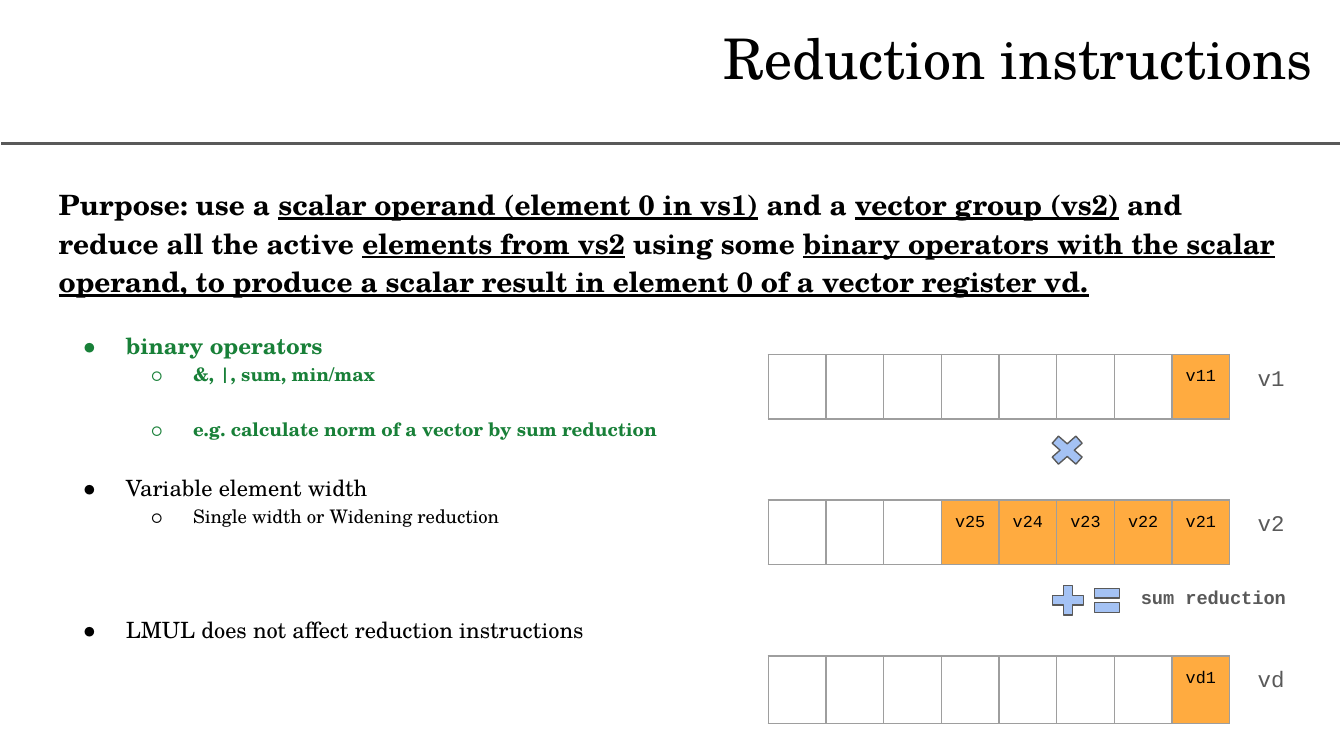
from lxml import etree
from pptx import Presentation
from pptx import util as u
from pptx.dml.color import RGBColor
from pptx.enum import shapes, text
from pptx.oxml.ns import qn

BLACK = RGBColor(0, 0, 0)
GREEN = RGBColor(0x18, 0x80, 0x38)
GREY = RGBColor(0x59, 0x59, 0x59)
EDGE = RGBColor(0x9E, 0x9E, 0x9E)
AMBER = RGBColor(0xFF, 0xAB, 0x40)
BLUE = RGBColor(0xA4, 0xC2, 0xF4)
SERIF, MONO = "TeX Gyre Schola", "Courier New"

TITLE = "Reduction instructions"
# Every second part is underlined.
PURPOSE = [
    "Purpose: use a ", "scalar operand (element 0 in vs1)", " and a ",
    "vector group (vs2)", " and reduce all the active ", "elements from vs2",
    " using some ",
    "binary operators with the scalar operand, to produce a scalar result "
    "in element 0 of a vector register vd.",
]
# text, level, points before, colour, bold
POINTS = [
    ("binary operators", 0, 16, GREEN, True),
    ("&, |, sum, min/max", 1, 0, GREEN, True),
    ("e.g. calculate norm of a vector by sum reduction", 1, 16, GREEN, True),
    ("Variable element width", 0, 16, BLACK, False),
    ("Single width or Widening reduction", 1, 0, BLACK, False),
    ("LMUL does not affect reduction instructions", 0, 45.5, BLACK, False),
]
# bullet, text size, left margin, first-line indent
LEVELS = [("●", 12, 1.27, -0.84), ("○", 10, 2.54, -0.81)]

# name, top, height, labels at the right end of the register
LANES = 8
VECTORS = [
    ("v1", 6.7, 1.22, ["v11"]),
    ("v2", 9.45, 1.22, ["v25", "v24", "v23", "v22", "v21"]),
    ("vd", 12.4, 1.27, ["vd1"]),
]
LEFT, LANE = 14.52, 1.09
# shape, left, top, width
SIGNS = [
    (shapes.MSO_SHAPE.MATH_MULTIPLY, 19.74, 8.13, 0.86),
    (shapes.MSO_SHAPE.MATH_PLUS, 19.79, 10.97, 0.79),
    (shapes.MSO_SHAPE.MATH_EQUAL, 20.6, 10.97, 0.64),
]


def write(para, words, size=12, font=MONO, color=BLACK, bold=False, line=False):
    run = para.add_run()
    run.text = words
    face = run.font
    face.size, face.name, face.bold, face.underline = u.Pt(size), font, bold, line
    face.color.rgb = color


def frame(slide, left, top, width, height, wrap=True):
    """Add a text box and return its text frame."""
    box = slide.shapes.add_textbox(u.Cm(left), u.Cm(top), u.Cm(width), u.Cm(height))
    area = box.text_frame
    area.word_wrap = wrap
    area.margin_left = area.margin_right = u.Cm(0.25)
    area.margin_top = area.margin_bottom = u.Cm(0.25)
    return area


def bullet(para, mark, color, left, indent):
    props = para._p.get_or_add_pPr()
    props.set("marL", str(u.Cm(left)))
    props.set("indent", str(u.Cm(indent)))
    tint = etree.SubElement(props, qn("a:buClr"))
    etree.SubElement(tint, qn("a:srgbClr"), val=str(color))
    etree.SubElement(props, qn("a:buFont"), typeface=SERIF)
    etree.SubElement(props, qn("a:buChar"), char=mark)


def border(cell):
    props = cell._tc.get_or_add_tcPr()
    for side in ("lnL", "lnR", "lnT", "lnB"):
        line = etree.SubElement(props, qn("a:" + side), w=str(u.Pt(0.75)))
        fill = etree.SubElement(line, qn("a:solidFill"))
        etree.SubElement(fill, qn("a:srgbClr"), val=str(EDGE))


def vector(slide, name, top, height, labels):
    """Draw one register as a row of lanes with its name to the right."""
    table = slide.shapes.add_table(
        1, LANES, u.Cm(LEFT), u.Cm(top), u.Cm(LANE * LANES), u.Cm(height)).table
    table.first_row = table.horz_banding = False
    lanes = [""] * (LANES - len(labels)) + labels
    for col, label in enumerate(lanes):
        table.columns[col].width = u.Cm(LANE)
        cell = table.cell(0, col)
        cell.margin_left = cell.margin_right = u.Cm(0.25)
        cell.margin_top = cell.margin_bottom = u.Cm(0.25)
        border(cell)
        para = cell.text_frame.paragraphs[0]
        para.alignment = text.PP_ALIGN.CENTER
        if label:
            cell.fill.solid()
            cell.fill.fore_color.rgb = AMBER
            write(para, label, size=9)
        else:
            cell.fill.background()
            para.font.size = u.Pt(9)
    tag = frame(slide, 23.52, top - 0.07, 1.2, 1.02, wrap=False)
    write(tag.paragraphs[0], name, color=GREY)


def main():
    deck = Presentation()
    deck.slide_width, deck.slide_height = u.Cm(25.4), u.Cm(14.29)
    slide = deck.slides.add_slide(deck.slide_layouts[6])

    rule = slide.shapes.add_connector(
        shapes.MSO_CONNECTOR.STRAIGHT, u.Cm(0.02), u.Cm(2.72), u.Cm(25.33), u.Cm(2.72))
    rule.line.color.rgb, rule.line.width = GREY, u.Pt(1.5)
    etree.SubElement(rule._element.spPr, qn("a:effectLst"))

    head = frame(slide, 7.06, 0.2, 18, 2.36).paragraphs[0]
    head.alignment = text.PP_ALIGN.RIGHT
    write(head, TITLE, size=30, font=SERIF)

    body = frame(slide, 0.86, 3.2, 23.67, 9.5)
    para = body.paragraphs[0]
    para.line_spacing = 1.15
    for i, part in enumerate(PURPOSE):
        write(para, part, size=15, font=SERIF, bold=True, line=i % 2 == 1)
    for words, level, before, color, bold in POINTS:
        mark, size, left, indent = LEVELS[level]
        para = body.add_paragraph()
        para.level, para.line_spacing = level, 1.15
        para.space_before = u.Pt(before)
        bullet(para, mark, color, left, indent)
        write(para, words, size=size, font=SERIF, color=color, bold=bold)

    for row in VECTORS:
        vector(slide, *row)

    for kind, left, top, width in SIGNS:
        sign = slide.shapes.add_shape(kind, u.Cm(left), u.Cm(top), u.Cm(width), u.Cm(0.76))
        sign.shadow.inherit = False
        sign.fill.solid()
        sign.fill.fore_color.rgb = BLUE
        sign.line.color.rgb, sign.line.width = GREY, u.Pt(0.75)
    note = frame(slide, 21.31, 10.87, 3.89, 0.94)
    write(note.paragraphs[0], "sum reduction", size=10, color=GREY, bold=True)

    deck.save("out.pptx")


if __name__ == "__main__":
    main()
